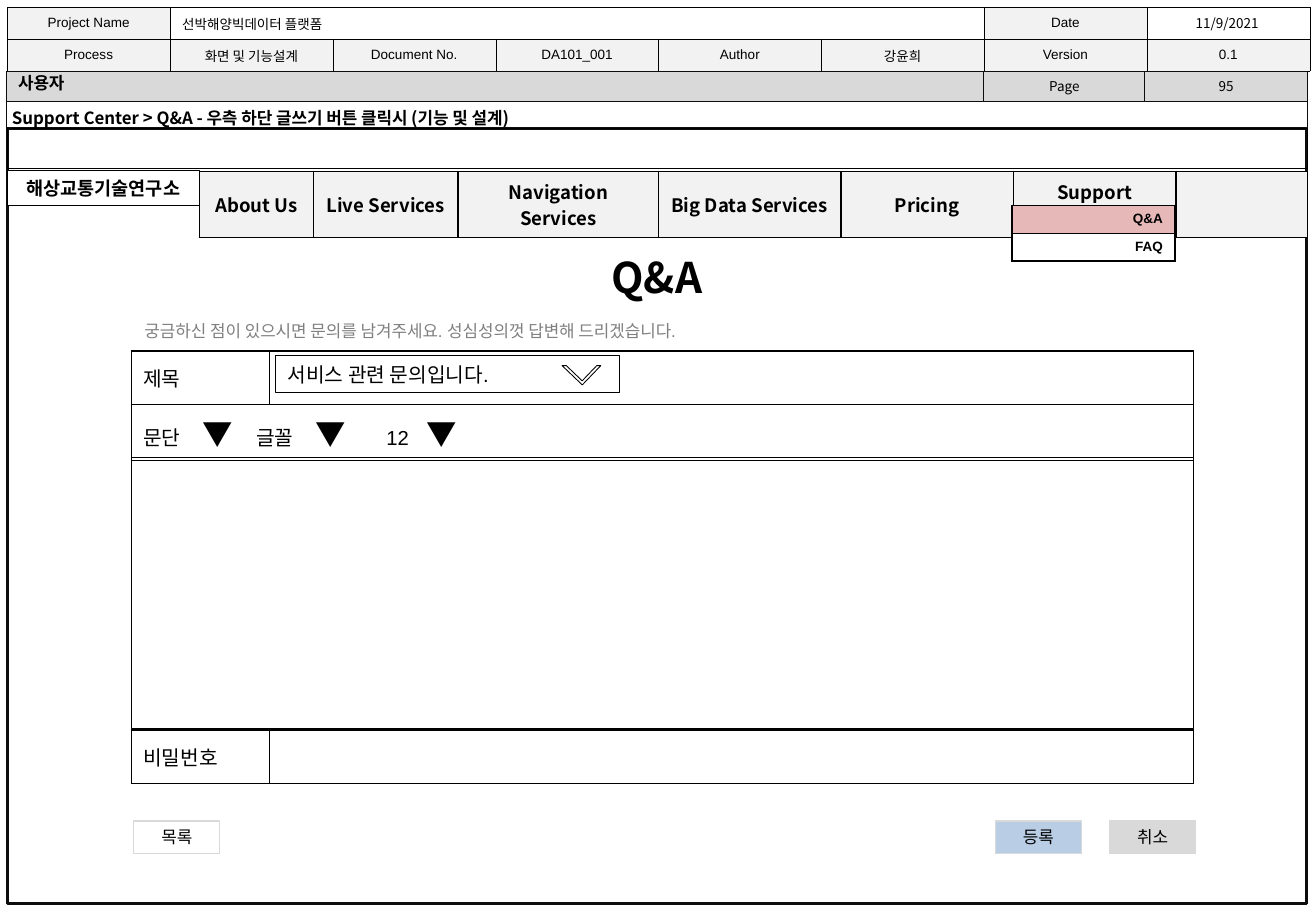
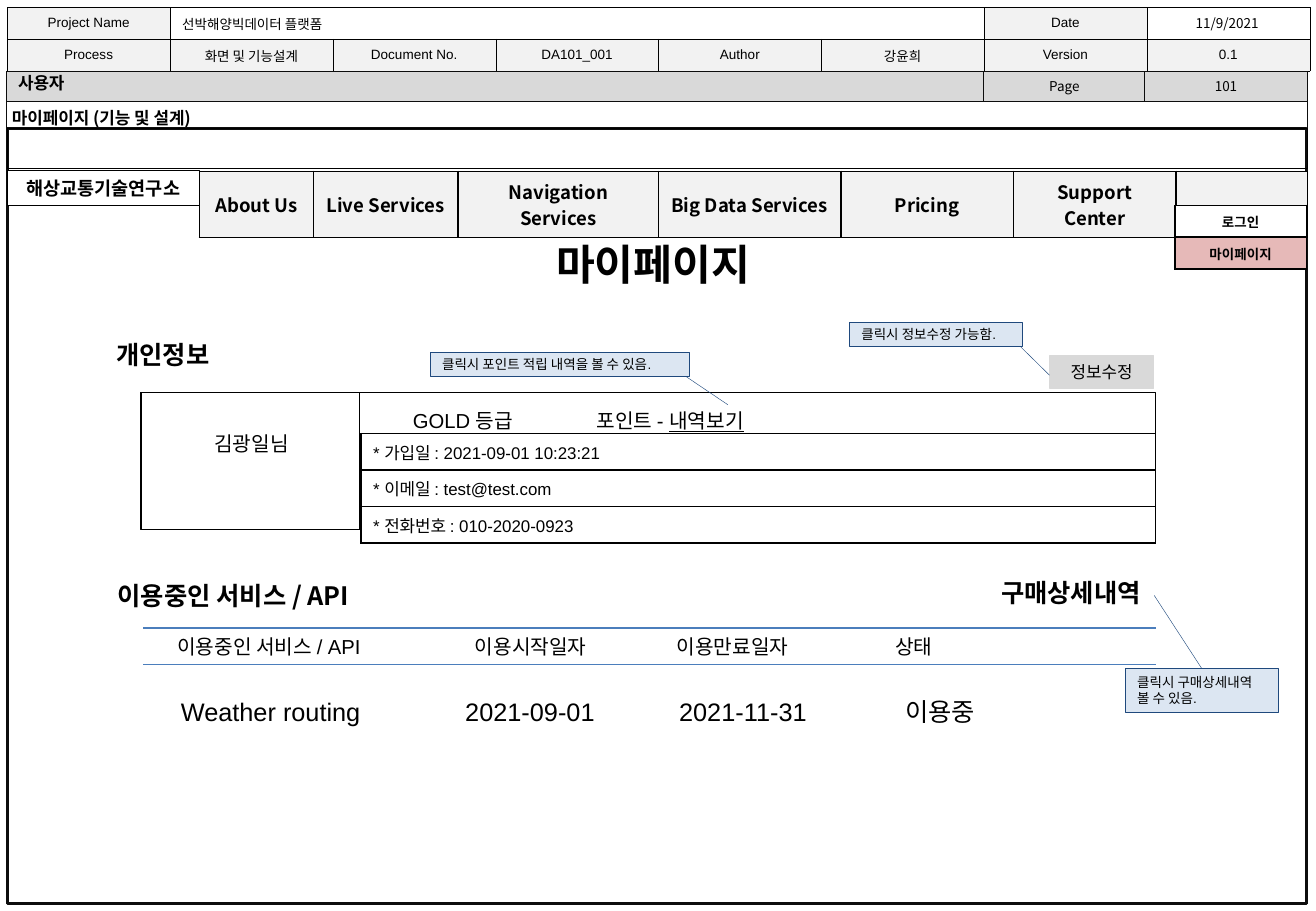
from dataclasses import dataclass, replace

from lxml import etree
from pptx import Presentation
from pptx.dml.color import RGBColor
from pptx.enum.shapes import MSO_CONNECTOR, MSO_SHAPE
from pptx.enum.text import MSO_ANCHOR, MSO_AUTO_SIZE, PP_ALIGN
from pptx.oxml.ns import qn
from pptx.util import Inches, Pt

LEFT, CENTER, RIGHT = PP_ALIGN.LEFT, PP_ALIGN.CENTER, PP_ALIGN.RIGHT
TOP, MIDDLE = MSO_ANCHOR.TOP, MSO_ANCHOR.MIDDLE
RECTANGLE = MSO_SHAPE.RECTANGLE
HALF_FRAME = MSO_SHAPE.HALF_FRAME
CALLOUT = MSO_SHAPE.LINE_CALLOUT_1
STRAIGHT = MSO_CONNECTOR.STRAIGHT
NO_AUTO_SIZE = MSO_AUTO_SIZE.NONE

SANS = "Arial"
KOREAN = "Noto Sans CJK KR"
BLACK, WHITE, FRAME, GRAY = "000000", "FFFFFF", "0D0D0D", "808080"
PALE, SILVER, PINK, BLUE = "F2F2F2", "D9D9D9", "E6B9B8", "B9CDE5"
NOTE_FILL, NOTE_LINE, RULE_BLUE = "DCE6F2", "1F497D", "4B7EBC"

HEADER_ROWS = [
    ["Project Name", "선박해양빅데이터 플랫폼", "", "", "", "", "Date", ""],
    ["Process", "화면 및 기능설계", "Document No.", "DA101_001",
     "Author", "강윤희", "Version", "0.1"],
]
HEADER_FILLS = [[PALE] + [None] * 5 + [PALE, None], [PALE] * 8]
MENU = ["About Us", "Live Services", "Navigation Services",
        "Big Data Services", "Pricing", "Support Center", ""]
MENU_WIDTHS = [0.94, 1.19, 1.65, 1.5, 1.42, 1.34, 1.08]
FORM_WIDTHS = [1.14, 7.6]


@dataclass(frozen=True)
class Style:
    """Character and paragraph settings of one kind of text."""
    size: float
    font: str = SANS
    bold: bool = False
    underline: bool = False
    color: str = BLACK
    align: PP_ALIGN = LEFT
    anchor: MSO_ANCHOR = TOP


LABEL = Style(8, align=CENTER, anchor=MIDDLE)
STAMP = replace(LABEL, font=KOREAN)
STRONG = Style(10, KOREAN, bold=True)
TITLE = Style(25, KOREAN, bold=True, align=CENTER)
NAVIGATION = Style(11, KOREAN, bold=True, align=CENTER, anchor=MIDDLE)
SUBMENU = replace(LABEL, bold=True)
BUTTON = Style(10, align=CENTER)
FIELD = Style(12)
FORM = replace(FIELD, anchor=MIDDLE)
ARROW = replace(FORM, size=18, font=KOREAN)
HEADING = Style(15, KOREAN, bold=True)
NOTE = Style(8, anchor=MIDDLE)


def rgb(value):
    """Turn a hex string into a colour."""
    return RGBColor.from_string(value)


def paint(fill, color):
    """Fill with a colour, or with nothing."""
    if color:
        fill.solid()
        fill.fore_color.rgb = rgb(color)
    else:
        fill.background()


def format_run(run, style):
    """Apply a style to one run, with a Korean font for Korean letters."""
    font = run.font
    font.size, font.name, font.bold = Pt(style.size), style.font, style.bold
    font.underline = style.underline
    font.color.rgb = rgb(style.color)
    properties = run._r.get_or_add_rPr()
    etree.SubElement(properties, qn("a:ea"), typeface=KOREAN)


def write(frame, text, style, tabs=()):
    """Write a string, or a list of (text, style) pieces, as one paragraph."""
    paragraph = frame.paragraphs[0]
    if tabs:
        tab_list = etree.SubElement(paragraph._p.get_or_add_pPr(), qn("a:tabLst"))
        for stop in tabs:
            etree.SubElement(tab_list, qn("a:tab"), pos=str(Inches(stop)), algn="l")
    paragraph.alignment = style.align
    pieces = [(text, style)] if isinstance(text, str) else text
    for piece, piece_style in pieces:
        if piece:
            run = paragraph.add_run()
            run.text = piece
            format_run(run, piece_style)
    if not text:
        etree.SubElement(paragraph._p, qn("a:endParaRPr"), sz=str(int(style.size * 100)))


def set_frame(frame, style):
    """Give a text frame the wrapping, margins and anchor of its style."""
    frame.word_wrap = True
    frame.auto_size = NO_AUTO_SIZE
    frame.vertical_anchor = style.anchor
    frame.margin_left = frame.margin_right = Inches(0.1)
    frame.margin_top = frame.margin_bottom = Inches(0.05)


def add_text(slide, box, text, style, tabs=()):
    """Add a text box."""
    frame = slide.shapes.add_textbox(*map(Inches, box)).text_frame
    set_frame(frame, style)
    write(frame, text, style, tabs)


def add_box(slide, box, fill=None, line=BLACK, width=0.5, text="", style=LABEL,
            kind=RECTANGLE, adjustments=()):
    """Add an outlined preset shape, with text if any."""
    shape = slide.shapes.add_shape(kind, *map(Inches, box))
    shape.shadow.inherit = False
    paint(shape.fill, fill)
    shape.line.color.rgb = rgb(line)
    shape.line.width = Pt(width)
    for index, value in enumerate(adjustments):
        shape.adjustments[index] = value
    if text:
        set_frame(shape.text_frame, style)
        write(shape.text_frame, text, style)
    return shape


def add_button(slide, left, top, text, fill, width=0.71):
    """Add a button of the wireframe."""
    add_box(slide, (left, top, width, 0.27), fill, SILVER, 0.75, text, BUTTON)


def add_note(slide, box, text, adjustments):
    """Add a callout that explains a click."""
    add_box(slide, box, NOTE_FILL, NOTE_LINE, 0.25, text, NOTE, CALLOUT, adjustments)


def add_rule(slide, left, right, top):
    """Add a horizontal blue line."""
    line = slide.shapes.add_connector(STRAIGHT, *map(Inches, (left, top, right, top)))
    line.line.color.rgb = rgb(RULE_BLUE)
    line.line.width = Pt(0.75)
    etree.SubElement(line.element.spPr, qn("a:effectLst"))


def set_borders(cell, width):
    """Draw black borders around a cell."""
    properties = cell._tc.get_or_add_tcPr()
    for side in ("lnL", "lnR", "lnT", "lnB"):
        border = etree.SubElement(properties, qn(f"a:{side}"), w=str(Pt(width)))
        fill = etree.SubElement(border, qn("a:solidFill"))
        etree.SubElement(fill, qn("a:srgbClr"), val=BLACK)


def add_grid(slide, corner, widths, heights, rows, style, fills=None, border=1, tabs=()):
    """Add a bordered table, with one fill for each cell."""
    size = (sum(widths), sum(heights))
    table = slide.shapes.add_table(
        len(rows), len(widths), *map(Inches, corner + size)).table
    table.first_row = table.horz_banding = False
    for column, width in zip(table.columns, widths):
        column.width = Inches(width)
    for row, height in zip(table.rows, heights):
        row.height = Inches(height)
    for row_index, row in enumerate(rows):
        for column_index, text in enumerate(row):
            cell = table.cell(row_index, column_index)
            cell.vertical_anchor = style.anchor
            set_borders(cell, border)
            paint(cell.fill, fills[row_index][column_index] if fills else None)
            write(cell.text_frame, text, style, () if isinstance(text, str) else tabs)
    return table


def build_frame(slide):
    """Draw the document header and frame, and move them to the layout."""
    layout = slide.slide_layout
    for placeholder in list(layout.placeholders)[1:]:
        layout.shapes.element.remove(placeholder.element)
    add_box(slide, (0.05, 0.59, 10.71, 6.85), None, FRAME, 0.25)
    table = add_grid(slide, (0.06, 0.06), [1.34] * 8, [0.24] * 2, HEADER_ROWS,
                     LABEL, HEADER_FILLS, 0.25)
    table.cell(0, 1).merge(table.cell(0, 5))
    table.cell(0, 1).text_frame.paragraphs[0].alignment = LEFT
    for left, width, text in ((0.05, 10.71, ""), (8.09, 1.34, "Page"), (9.42, 1.34, "")):
        add_box(slide, (left, 0.59, width, 0.24), SILVER, FRAME, 0.25, text, STAMP)
    add_box(slide, (0.06, 1.06, 10.69, 6.38), WHITE, FRAME, 1.5)
    for shape in list(slide.shapes):
        if not shape.is_placeholder:
            layout.shapes.element.append(shape.element)


def add_page_head(slide, page, location, title, title_corner):
    """Add the page number, location, site menu and title of a screen."""
    add_text(slide, (9.43, 0.07, 1.34, 0.24), "11/9/2021", STAMP)
    add_text(slide, (9.42, 0.59, 1.34, 0.24), page, STAMP)
    add_box(slide, (0.06, 1.06, 10.7, 0.33), width=0.25)
    add_text(slide, (0.05, 0.55, 1.51, 0.27), "사용자", STRONG)
    add_text(slide, (0, 0.84, 8.88, 0.27), location, STRONG)
    add_grid(slide, (1.64, 1.41), MENU_WIDTHS, [0.28], [MENU], NAVIGATION, [[PALE] * 7])
    add_box(slide, (0.06, 1.4, 1.58, 0.29), WHITE, width=0.25,
            text="해상교통기술연구소", style=NAVIGATION)
    shape = slide.shapes.title
    shape.left, shape.top, shape.width, shape.height = map(
        Inches, title_corner + (2.91, 0.52))
    set_frame(shape.text_frame, TITLE)
    write(shape.text_frame, title, TITLE)


def build_question_form(slide):
    """Build the screen for writing a question."""
    add_page_head(slide, "95", "Support Center > Q&A - 우측 하단 글쓰기 버튼 클릭시 (기능 및 설계)",
                  "Q&A", (3.95, 2.02))
    add_grid(slide, (8.33, 1.69), [1.34], [0.23] * 2, [["Q&A"], ["FAQ"]],
             replace(SUBMENU, align=RIGHT), [[PINK], [WHITE]])
    add_text(slide, (1.09, 2.59, 6.61, 0.27),
             "궁금하신 점이 있으시면 문의를 남겨주세요. 성심성의껏 답변해 드리겠습니다.",
             Style(10, color=GRAY))
    toolbar = [("문단\t", FORM), ("▼", ARROW), ("\t글꼴\t", FORM), ("▼", ARROW),
               ("\t12\t", FORM), ("▼", ARROW)]
    table = add_grid(slide, (1.08, 2.89), FORM_WIDTHS, [0.44, 0.45],
                     [["제목", ""], [toolbar, ""]], FORM,
                     tabs=(0.49, 0.93, 1.42, 2.0, 2.33))
    table.cell(1, 0).merge(table.cell(1, 1))
    add_box(slide, (2.27, 2.93, 2.83, 0.3), width=0.75,
            text="서비스 관련 문의입니다.", style=FIELD)
    chevron = add_box(slide, (4.67, 2.9, 0.23, 0.22), kind=HALF_FRAME,
                      adjustments=(0.11, 0.11))
    chevron.rotation = 223.8
    add_box(slide, (1.08, 3.77, 8.74, 2.23))
    add_grid(slide, (1.08, 6.01), FORM_WIDTHS, [0.44], [["비밀번호", ""]], FORM)
    for left, text, fill in ((1.1, "목록", WHITE), (8.19, "등록", BLUE), (9.13, "취소", SILVER)):
        add_button(slide, left, 6.76, text, fill)


def build_my_page(slide):
    """Build the member's own page."""
    add_page_head(slide, "101", "마이페이지 (기능 및 설계)", "마이페이지", (3.92, 1.91))
    add_grid(slide, (9.67, 1.69), [1.08], [0.23] * 2, [["로그인"], ["마이페이지"]],
             SUBMENU, [[WHITE], [PINK]])
    for width in (8.35, 1.8):
        add_box(slide, (1.16, 3.23, width, 1.13))
    add_text(slide, (1.36, 3.5, 1.42, 0.3), "김광일님", replace(FIELD, align=CENTER))
    add_text(slide, (3.3, 3.31, 3.32, 0.3),
             [("GOLD 등급\t포인트 - ", FIELD), ("내역보기", replace(FIELD, underline=True))],
             FIELD, (1.51,))
    add_button(slide, 8.64, 2.93, "정보수정", SILVER, 0.85)
    details = [["* 가입일 : 2021-09-01 10:23:21"], ["* 이메일 : test@test.com"],
               ["* 전화번호 : 010-2020-0923"]]
    add_grid(slide, (2.97, 3.57), [6.54], [0.27] * 3, details,
             replace(FORM, size=10), [[WHITE]] * 3)
    for left, top, width, text in ((0.86, 2.74, 2.91, "개인정보"),
                                   (0.87, 4.73, 2.91, "이용중인 서비스 / API"),
                                   (8.14, 4.7, 1.59, "구매상세내역")):
        add_text(slide, (left, top, width, 0.35), text, HEADING)
    add_text(slide, (1.17, 5.49, 8.35, 0.73),
             "\tWeather routing\t2021-09-01\t2021-11-31\t이용중",
             replace(FORM, size=15), (0.22, 2.56, 4.32, 6.18))
    add_text(slide, (1.14, 5.17, 8.29, 0.3),
             "\t이용중인 서비스 / API\t이용시작일자\t이용만료일자\t상태",
             FIELD, (0.22, 2.67, 4.33, 6.13))
    for top in (5.17, 5.47):
        add_rule(slide, 1.18, 9.51, top)
    add_note(slide, (9.26, 5.5, 1.26, 0.36), "클릭시 구매상세내역 볼 수 있음.",
             (0.01, 0.5, -1.66, 0.19))
    add_note(slide, (6.99, 2.65, 1.42, 0.2), "클릭시 정보수정 가능함.",
             (2.2, 1.16, 1.01, 0.99))
    add_note(slide, (3.54, 2.9, 2.13, 0.2), "클릭시 포인트 적립 내역을 볼 수 있음.",
             (2.16, 1.15, 1.01, 0.99))


def main():
    """Build and save the presentation."""
    presentation = Presentation()
    presentation.slide_width, presentation.slide_height = Inches(10.83), Inches(7.5)
    layout = presentation.slide_layouts[5]
    question_form = presentation.slides.add_slide(layout)
    build_frame(question_form)
    build_question_form(question_form)
    build_my_page(presentation.slides.add_slide(layout))
    presentation.save("out.pptx")


if __name__ == "__main__":
    main()
